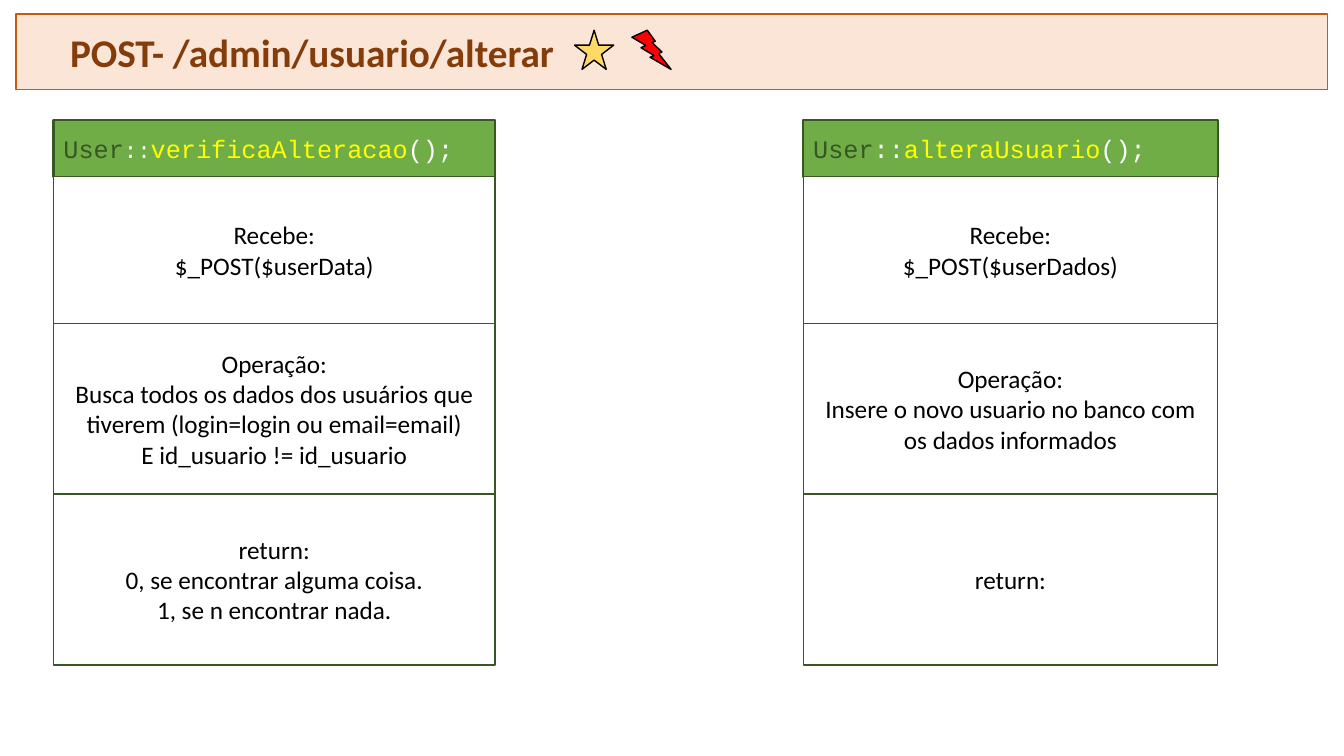
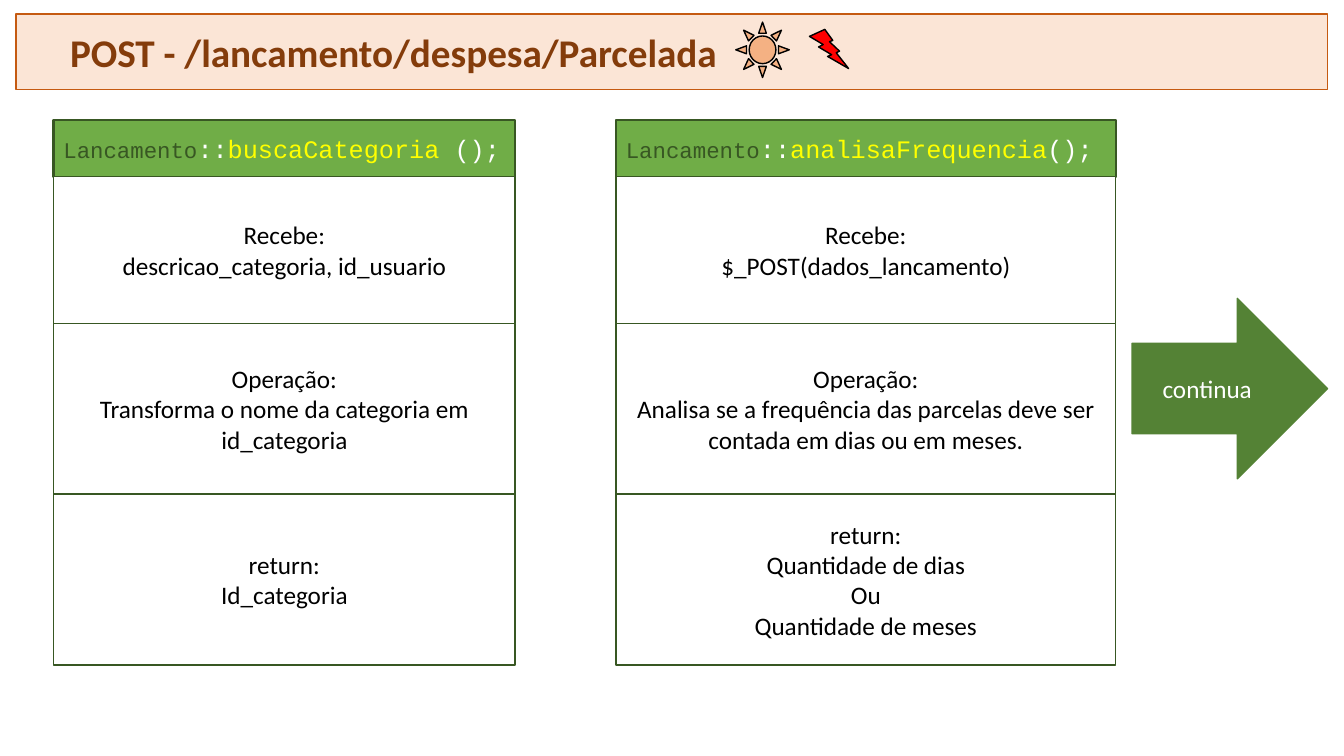
from pptx import Presentation
from pptx.dml.color import RGBColor
from pptx.enum.shapes import MSO_SHAPE as Shape
from pptx.enum.text import MSO_ANCHOR as Anchor, MSO_AUTO_SIZE as AutoSize, PP_ALIGN as Align
from pptx.util import Pt

BLACK = RGBColor(0x00, 0x00, 0x00)
WHITE = RGBColor(0xFF, 0xFF, 0xFF)
PEACH = RGBColor(0xFB, 0xE5, 0xD6)
ORANGE = RGBColor(0xC5, 0x5A, 0x11)
BROWN = RGBColor(0x84, 0x3C, 0x0B)
GREEN = RGBColor(0x70, 0xAD, 0x47)
MID_GREEN = RGBColor(0x54, 0x82, 0x35)
DARK_GREEN = RGBColor(0x38, 0x57, 0x23)
YELLOW = RGBColor(0xFF, 0xFF, 0x00)
GOLD = RGBColor(0xFF, 0xD9, 0x66)
APRICOT = RGBColor(0xF4, 0xB1, 0x83)
RED = RGBColor(0xFF, 0x00, 0x00)

BODY_FONT = "Calibri"
CODE_FONT = "Courier New"
HEADER_TOP, HEADER_HEIGHT = 85.7, 41
ROWS = [(126, 105), (231, 122), (353, 122)]

PAGES = [
    {
        "title": "POST- /admin/usuario/alterar",
        "icons": [
            (Shape.STAR_5_POINT, GOLD, (410.4, 21.6, 28, 28)),
            (Shape.LIGHTNING_BOLT, RED, (451.4, 21.6, 28, 28)),
        ],
        "cards": [
            {
                "left": 38.2, "width": 315.4,
                "call": [("User", 18), ("::", 16), ("verificaAlteracao", 18), ("();", 18)],
                "rows": [
                    ["Recebe:", "$_POST($userData)"],
                    ["Operação:",
                     "Busca todos os dados dos usuários que tiverem (login=login ou email=email)",
                     "E id_usuario != id_usuario"],
                    ["return:", "0, se encontrar alguma coisa.", "1, se n encontrar nada."],
                ],
            },
            {
                "left": 573.8, "width": 296,
                "call": [("User", 18), ("::", 18), ("alteraUsuario", 18), ("();", 18)],
                "rows": [
                    ["Recebe:", "$_POST($userDados)"],
                    ["Operação:", "Insere o novo usuario no banco com os dados informados"],
                    ["return:"],
                ],
            },
        ],
        "arrow": None,
    },
    {
        "title": "POST - /lancamento/despesa/Parcelada",
        "icons": [
            (Shape.SUN, APRICOT, (525.6, 15.8, 38.2, 39.6)),
            (Shape.LIGHTNING_BOLT, RED, (578.2, 21, 28, 28)),
        ],
        "cards": [
            {
                "left": 38.2, "width": 329.8,
                "call": [("Lancamento", 16), ("::", 18), ("buscaCategoria ", 18), ("();", 18)],
                "rows": [
                    ["Recebe:", "descricao_categoria, id_usuario"],
                    ["Operação:", "Transforma o nome da categoria em id_categoria"],
                    ["return:", "Id_categoria"],
                ],
            },
            {
                "left": 440, "width": 357,
                "call": [("Lancamento", 16), ("::", 18), ("analisaFrequencia", 18), ("();", 18)],
                "rows": [
                    ["Recebe:", "$_POST(dados_lancamento)"],
                    ["Operação:",
                     "Analisa se a frequência das parcelas deve ser contada em dias ou em meses."],
                    ["return:", "Quantidade de dias", "Ou", "Quantidade de meses"],
                ],
            },
        ],
        "arrow": "continua",
    },
]


def write(para, text, size=18, color=BLACK, font=BODY_FONT, bold=False, align=Align.CENTER):
    para.alignment = align
    span = para.add_run()
    span.text = text
    span.font.size = Pt(size)
    span.font.color.rgb = color
    span.font.name = font
    span.font.bold = bold


def style(box, bounds, fill, line, weight=1):
    box.left, box.top, box.width, box.height = [Pt(length) for length in bounds]
    box.shadow.inherit = False
    box.fill.solid()
    box.fill.fore_color.rgb = fill
    box.line.color.rgb = line
    box.line.width = Pt(weight)
    box.text_frame.word_wrap = True
    box.text_frame.vertical_anchor = Anchor.MIDDLE
    return box.text_frame


deck = Presentation()
deck.slide_width, deck.slide_height = Pt(960), Pt(540)
title_only = deck.slide_layouts[5]

for content in PAGES:
    page = deck.slides.add_slide(title_only)
    shapes = page.shapes

    frame = style(shapes.title, (11.4, 10, 936.8, 54), PEACH, ORANGE)
    frame.auto_size = AutoSize.NONE
    frame.margin_left = Pt(38.6)
    write(frame.paragraphs[0], content["title"], size=28, color=BROWN, bold=True, align=Align.LEFT)

    for kind, fill, bounds in content["icons"]:
        style(shapes.add_shape(kind, 0, 0, 0, 0), bounds, fill, BLACK)

    for card in content["cards"]:
        left, width = card["left"], card["width"]
        header = shapes.add_shape(Shape.RECTANGLE, 0, 0, 0, 0)
        frame = style(header, (left, HEADER_TOP, width, HEADER_HEIGHT), GREEN, DARK_GREEN, weight=1.5)
        for (text, size), color in zip(card["call"], (DARK_GREEN, WHITE, YELLOW, WHITE)):
            write(frame.paragraphs[0], text, size=size, color=color, font=CODE_FONT, align=Align.LEFT)

        for (top, height), lines in zip(ROWS, card["rows"]):
            row = shapes.add_shape(Shape.RECTANGLE, 0, 0, 0, 0)
            frame = style(row, (left, top, width, height), WHITE, DARK_GREEN)
            for index, text in enumerate(lines):
                write(frame.add_paragraph() if index else frame.paragraphs[0], text)

    if content["arrow"]:
        arrow = shapes.add_shape(Shape.RIGHT_ARROW, 0, 0, 0, 0)
        frame = style(arrow, (808.6, 213.1, 139.7, 128.9), MID_GREEN, MID_GREEN)
        write(frame.paragraphs[0], content["arrow"], color=WHITE)

deck.save("out.pptx")
